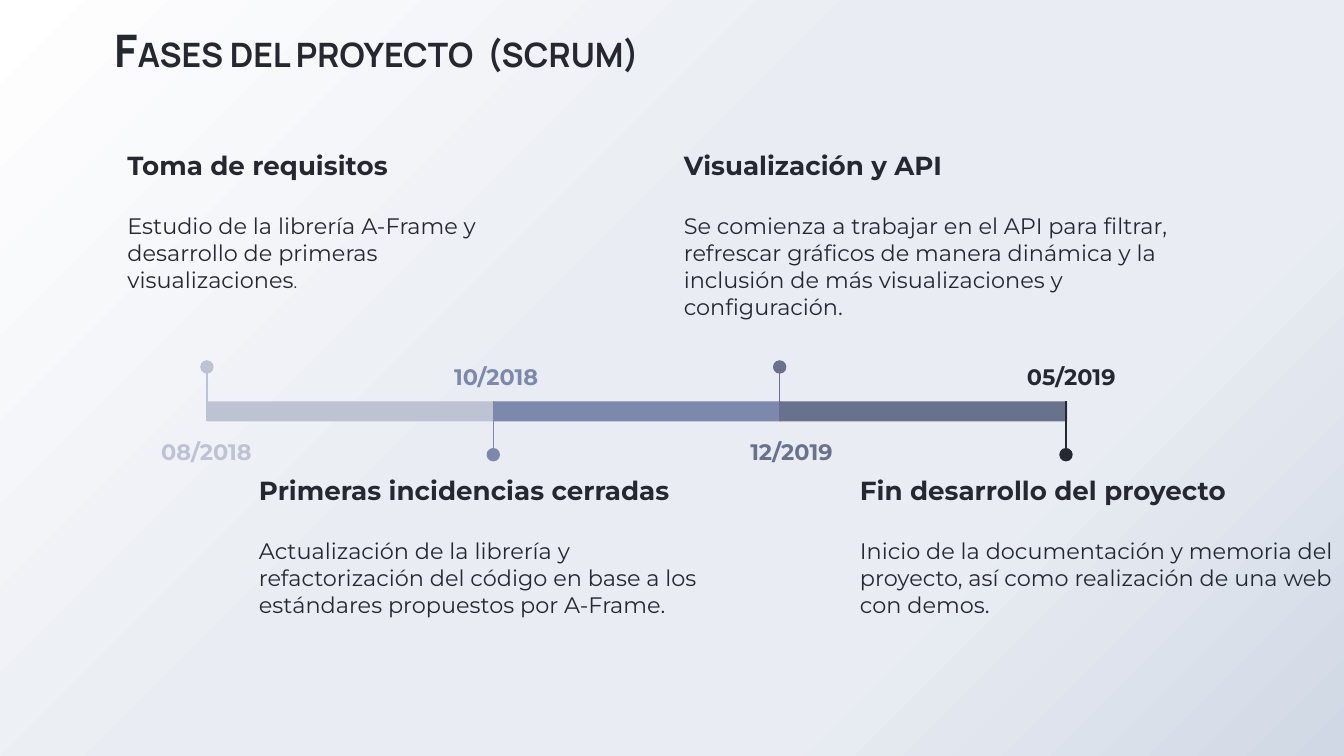
from dataclasses import dataclass
from typing import Optional

from pptx import Presentation
from pptx.dml.color import RGBColor
from pptx.enum.shapes import MSO_CONNECTOR, MSO_SHAPE
from pptx.enum.text import MSO_ANCHOR, PP_ALIGN
from pptx.oxml import parse_xml
from pptx.oxml.ns import nsdecls, qn
from pptx.util import Pt

STRAIGHT = MSO_CONNECTOR.STRAIGHT
RECTANGLE, OVAL = MSO_SHAPE.RECTANGLE, MSO_SHAPE.OVAL
CENTER, BOTTOM = PP_ALIGN.CENTER, MSO_ANCHOR.BOTTOM

COLORS = {
    "ink": "252831",
    "pale": "BDC3D3",
    "blue": "7D89AC",
    "slate": "68728D",
}
BACKGROUND_STOPS = {0: "FFFFFF", 44: "E9EDF3", 72: "E9EDF3", 100: "D0D8E5"}
TITLE_FONT, BODY_FONT = "Manrope", "Montserrat"

TIMELINE_LEFT, PHASE_STEP = 110.9, 153.4
BAR_TOP, BAR_WIDTH, BAR_HEIGHT = 215, 154, 10.8
DOT_SIZE = 7.2


@dataclass
class Phase:
    date: str
    date_center: float
    color: str
    heading: str
    description: str
    text_left: float
    text_width: float
    above: bool  # the description stands above the bar
    has_bar: bool = True
    small_ending: str = ""


PHASES = [
    Phase("08/2018", 110.6, "pale", "Toma de requisitos",
          "Estudio de la librería A-Frame y desarrollo de primeras visualizaciones",
          61.2, 229, True, small_ending="."),
    Phase("10/2018", 265.8, "blue", "Primeras incidencias cerradas",
          "Actualización de la librería y refactorización del código en base a los "
          "estándares propuestos por A-Frame.",
          131.6, 261.4, False),
    Phase("12/2019", 424, "slate", "Visualización y API",
          "Se comienza a trabajar en el API para filtrar, refrescar gráficos de manera "
          "dinámica y la inclusión de más visualizaciones y configuración.",
          359.3, 304.6, True),
    Phase("05/2019", 573.9, "ink", "Fin desarrollo del proyecto",
          "Inicio de la documentación y memoria del proyecto, así como realización de "
          "una web con demos.",
          453.6, 270, False, has_bar=False),
]


def rgb(color: str) -> RGBColor:
    return RGBColor.from_string(COLORS[color])


def set_background(slide) -> None:
    stops = "".join(f'<a:gs pos="{pos * 1000}"><a:srgbClr val="{value}"/></a:gs>'
                    for pos, value in BACKGROUND_STOPS.items())
    background = parse_xml(
        f'<p:bg {nsdecls("p", "a")}><p:bgPr><a:gradFill rotWithShape="1">'
        f'<a:gsLst>{stops}</a:gsLst><a:path path="circle">'
        '<a:fillToRect r="100000" b="100000"/></a:path></a:gradFill>'
        '<a:effectLst/></p:bgPr></p:bg>')
    slide.element.find(qn("p:cSld")).insert(0, background)


def add_solid(slide, kind, left: float, top: float, width: float, height: float,
              color: str) -> None:
    solid = slide.shapes.add_shape(kind, Pt(left), Pt(top), Pt(width), Pt(height))
    solid.shadow.inherit = False
    solid.fill.solid()
    solid.fill.fore_color.rgb = rgb(color)
    solid.line.fill.background()


def add_text_frame(slide, left: float, top: float, width: float, height: float,
                   inset: float = 7.2):
    frame = slide.shapes.add_textbox(Pt(left), Pt(top), Pt(width), Pt(height)).text_frame
    frame.word_wrap = True
    frame.margin_left = frame.margin_right = Pt(inset)
    frame.margin_top = frame.margin_bottom = Pt(inset)
    return frame


def style(paragraph, size: Optional[float], bold: bool, color: str = "ink",
          font: str = BODY_FONT) -> None:
    paragraph.font.name = font
    paragraph.font.bold = bold
    paragraph.font.color.rgb = rgb(color)
    if size:
        paragraph.font.size = Pt(size)


def add_sized_runs(paragraph, *runs: tuple[str, float]) -> None:
    for text, size in runs:
        run = paragraph.add_run()
        run.text = text
        run.font.size = Pt(size)


def add_marker(slide, phase: Phase, x: float) -> None:
    start, end, dot_top = (197, 225.4, 193) if phase.above else (243.4, 215, 240)
    stem = slide.shapes.add_connector(STRAIGHT, Pt(x), Pt(start), Pt(x), Pt(end))
    stem.line.color.rgb = rgb(phase.color)
    stem.line.width = Pt(0.75)
    stem._element.spPr.append(parse_xml(f'<a:effectLst {nsdecls("a")}/>'))
    add_solid(slide, OVAL, x - DOT_SIZE / 2, dot_top, DOT_SIZE, DOT_SIZE, phase.color)


def add_date(slide, phase: Phase) -> None:
    width = 68
    top = 225.4 if phase.above else 185
    date = add_text_frame(slide, phase.date_center - width / 2, top, width,
                          29.5).paragraphs[0]
    date.text = phase.date
    date.alignment = CENTER
    date.line_spacing = 1.15
    style(date, 12, True, phase.color)


def add_description(slide, phase: Phase) -> None:
    top = 72.7 if phase.above else 247
    frame = add_text_frame(slide, phase.text_left, top, phase.text_width, 74.2)
    heading = frame.paragraphs[0]
    heading.text = phase.heading
    style(heading, 14, True)
    description = frame.add_paragraph()
    description.space_before = Pt(17)
    if phase.small_ending:
        style(description, None, False)
        add_sized_runs(description, (phase.description, 12), (phase.small_ending, 9))
    else:
        description.text = phase.description
        style(description, 12, False)


def main() -> None:
    prs = Presentation()
    prs.slide_width, prs.slide_height = Pt(720), Pt(405)
    slide = prs.slides.add_slide(prs.slide_layouts[6])
    set_background(slide)

    # Title with a large initial
    title_frame = add_text_frame(slide, 61.2, 10.1, 308.9, 31, inset=0)
    title_frame.vertical_anchor = BOTTOM
    title = title_frame.paragraphs[0]
    style(title, None, True, font=TITLE_FONT)
    add_sized_runs(title, ("F", 24), ("ASES DEL PROYECTO  (SCRUM)", 18))

    # Timeline bars
    for index, phase in enumerate(PHASES):
        if phase.has_bar:
            add_solid(slide, RECTANGLE, TIMELINE_LEFT + index * PHASE_STEP, BAR_TOP,
                      BAR_WIDTH, BAR_HEIGHT, phase.color)

    # Markers, dates and descriptions
    for index, phase in enumerate(PHASES):
        add_marker(slide, phase, TIMELINE_LEFT + index * PHASE_STEP)
        add_date(slide, phase)
        add_description(slide, phase)

    prs.save("out.pptx")


if __name__ == "__main__":
    main()
